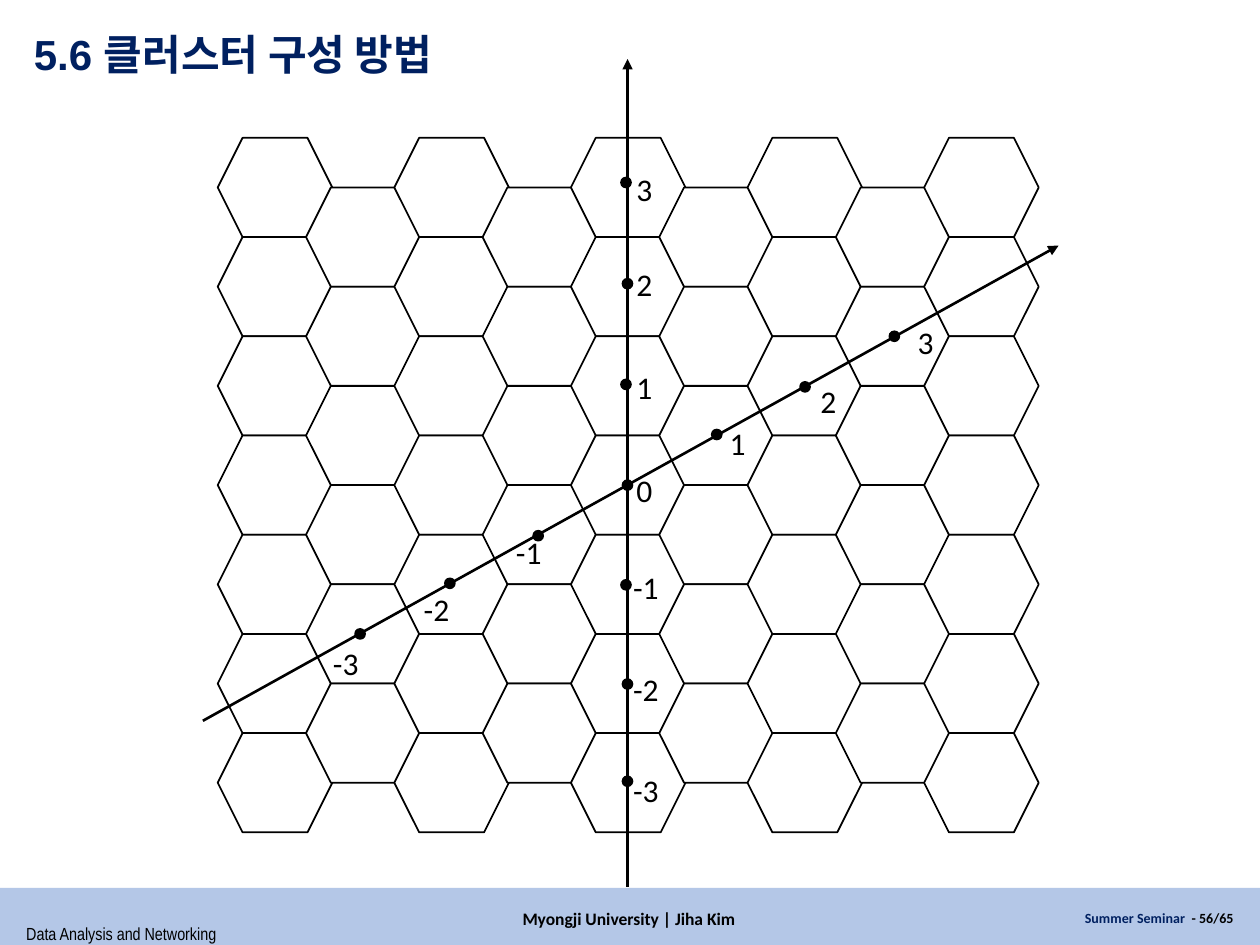
import pptx
import pptx.util
import pptx.dml.color
import pptx.enum.shapes
import pptx.enum.text
import lxml.etree
from dataclasses import dataclass

Cm = pptx.util.Cm
Shape = pptx.enum.shapes.MSO_SHAPE
Align = pptx.enum.text.PP_ALIGN
Anchor = pptx.enum.text.MSO_ANCHOR
AutoSize = pptx.enum.text.MSO_AUTO_SIZE


@dataclass(frozen=True)
class Theme:
    ink: str = "000000"
    navy: str = "002060"
    band: str = "B4C7E7"
    cell: str = "FFFFFF"
    title_size: int = 24
    label_size: int = 18
    footer_size: int = 10
    page_size: int = 8
    thin: float = 1
    axis: float = 1.5


theme = Theme()


def add_figure(kind, left, top, width, height, fill, line):
    figure = page.shapes.add_shape(kind, Cm(left), Cm(top), Cm(width), Cm(height))
    figure.shadow.inherit = False
    figure.fill.solid()
    figure.fill.fore_color.rgb = pptx.dml.color.RGBColor.from_string(fill)
    if line:
        figure.line.color.rgb = pptx.dml.color.RGBColor.from_string(line)
        figure.line.width = pptx.util.Pt(theme.thin)
    else:
        figure.line.fill.background()


def write(box, spans, frame_format, para_format):
    for name, value in frame_format.items():
        setattr(box.text_frame, name, value)
    para = box.text_frame.paragraphs[0]
    for name, value in para_format.items():
        setattr(para, name, value)
    for text, face, size, color, bold in spans:
        span = para.add_run()
        span.text = text
        font_format = {"name": face, "size": pptx.util.Pt(size), "bold": bold}
        for name, value in font_format.items():
            setattr(span.font, name, value)
        span.font.color.rgb = pptx.dml.color.RGBColor.from_string(color)


deck = pptx.Presentation()
deck.slide_width, deck.slide_height = Cm(25.4), Cm(19.05)
page = deck.slides.add_slide(deck.slide_layouts[5])

title = page.shapes.title
title_place = {"left": Cm(0.43), "top": Cm(0.43), "width": Cm(24.66), "height": Cm(1.42)}
for name, value in title_place.items():
    setattr(title, name, value)
write(
    title,
    [("5.6 클러스터 구성 방법", "Arial", theme.title_size, theme.navy, True)],
    {"vertical_anchor": Anchor.MIDDLE, "word_wrap": True, "auto_size": AutoSize.NONE},
    {"alignment": Align.LEFT, "line_spacing": 0.9},
)

add_figure(Shape.RECTANGLE, 0, 17.9, 25.4, 1.15, theme.band, None)

fixed = {"vertical_anchor": Anchor.MIDDLE, "word_wrap": True}
growing = {"word_wrap": False, "auto_size": AutoSize.SHAPE_TO_FIT_TEXT}
footers = [
    (0.28, 18.49, 4.39, 0.69, growing, Align.LEFT,
     [("Data Analysis and Networking", "Arial Narrow", theme.footer_size, theme.ink, False)]),
    (8.38, 18.19, 8.59, 0.64, fixed, Align.CENTER,
     [("Myongji University | Jiha Kim", "Calibri", theme.footer_size, theme.ink, True)]),
    (17.98, 18.19, 7.14, 0.64, fixed, Align.RIGHT,
     [("Summer Seminar  ", "Calibri", theme.page_size, theme.navy, True),
      ("- 56/65", "Calibri", theme.page_size, theme.ink, True)]),
]
for left, top, width, height, frame_format, alignment, spans in footers:
    box = page.shapes.add_textbox(Cm(left), Cm(top), Cm(width), Cm(height))
    write(box, spans, frame_format, {"alignment": alignment})

cell_width, cell_height, column_step = 2.31, 2, 1.78
for column in range(9):
    shifted = column % 2
    for row in range(7 - shifted):
        left = 4.39 + column * column_step
        top = 2.78 + (row + shifted / 2) * cell_height
        add_figure(Shape.HEXAGON, left, top, cell_width, cell_height, theme.cell, theme.ink)

for tip_x, tip_y, tail_x, tail_y in [(12.65, 1.19, 12.65, 17.88), (21.34, 4.95, 4.09, 14.53)]:
    axis = page.shapes.add_connector(
        pptx.enum.shapes.MSO_CONNECTOR.STRAIGHT, Cm(tip_x), Cm(tip_y), Cm(tail_x), Cm(tail_y))
    axis.line.color.rgb = pptx.dml.color.RGBColor.from_string(theme.ink)
    axis.line.width = pptx.util.Pt(theme.axis)
    space = "{" + axis.element.nsmap["a"] + "}"
    lxml.etree.SubElement(axis.line._get_or_add_ln(), space + "headEnd", type="triangle")
    lxml.etree.SubElement(axis.element.spPr, space + "effectLst")

dot_size, label_height = 0.2, 1.02
marks = [
    ("0", 12.65, 9.78, 12.99, 9.37),
    ("1", 12.62, 7.75, 12.99, 7.29),
    ("2", 12.65, 5.72, 12.99, 5.21),
    ("3", 12.62, 3.68, 12.99, 3.3),
    ("-1", 12.62, 11.79, 13.02, 11.33),
    ("-2", 12.65, 13.79, 13.02, 13.39),
    ("-3", 12.65, 15.75, 13.02, 15.42),
    ("1", 14.45, 8.76, 14.87, 8.43),
    ("2", 16.23, 7.8, 16.7, 7.57),
    ("3", 18.03, 6.78, 18.66, 6.38),
    ("-1", 10.85, 10.8, 10.66, 10.62),
    ("-2", 9.07, 11.76, 8.8, 11.76),
    ("-3", 7.26, 12.78, 6.97, 12.85),
]
for text, dot_x, dot_y, label_x, label_top in marks:
    add_figure(Shape.OVAL, dot_x - dot_size / 2, dot_y - dot_size / 2,
               dot_size, dot_size, theme.ink, theme.ink)
    label_width = 0.84 if len(text) == 1 else 1.04
    label = page.shapes.add_textbox(
        Cm(label_x - label_width / 2), Cm(label_top), Cm(label_width), Cm(label_height))
    write(label, [(text, "Calibri", theme.label_size, theme.ink, False)],
          growing, {"alignment": Align.CENTER})

deck.save("out.pptx")
